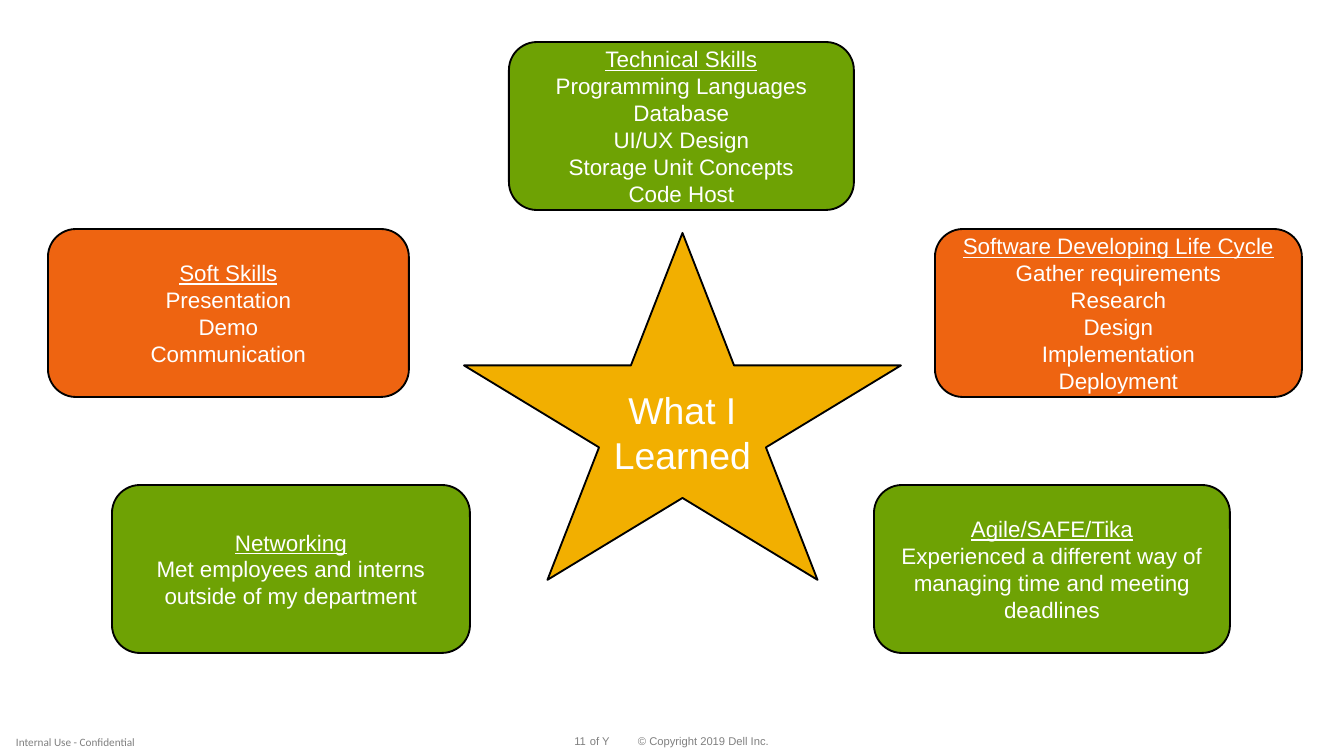
from pptx import Presentation
from pptx.dml.color import RGBColor
from pptx.enum.shapes import MSO_SHAPE as SHAPE
from pptx.enum.text import MSO_ANCHOR as ANCHOR, PP_ALIGN as ALIGN
from pptx.util import Emu, Pt

GREEN, ORANGE, GOLD = "6EA204", "EE6411", "F2AF00"


def px(*values):
    return [Emu(round(v * 914400 / 134.4)) for v in values]


def color(hex_text):
    return RGBColor.from_string(hex_text)


prs = Presentation()
prs.slide_width, prs.slide_height = px(1344, 756)
s = prs.slides.add_slide(prs.slide_layouts[6])

footers = [
    ("© Copyright 2019 Dell Inc.", (638, 736, 133, 12), 0, ALIGN.LEFT, "Arial", "808080"),
    ("11", (573, 736, 13, 12), 0, ALIGN.RIGHT, "Arial", "808080"),
    ("of Y", (590, 736, 20, 12), 0, ALIGN.LEFT, "Arial", "808080"),
    ("Internal Use - Confidential", (0, 728, 152, 28), 16, ALIGN.LEFT, "Calibri", "7F7F7F"),
]
for text, box, inset, align, font, gray in footers:
    tf = s.shapes.add_textbox(*px(*box)).text_frame
    tf.margin_left, tf.margin_top, tf.margin_right, tf.margin_bottom = px(inset, 0, 0, 0)
    tf.vertical_anchor = ANCHOR.MIDDLE
    tf.word_wrap = False
    p = tf.paragraphs[0]
    p.text = text
    p.alignment = align
    p.line_spacing = 0.9 if font == "Arial" else 1.0
    p.font.name, p.font.size = font, Pt(6)
    p.font.color.rgb = color(gray)

shapes = [
    (SHAPE.STAR_5_POINT, (464, 233, 437, 347), GOLD, 20, ["What I Learned"]),
    (SHAPE.ROUNDED_RECTANGLE, (509, 42, 345, 168), GREEN, 12,
     ["Technical Skills", "Programming Languages", "Database", "UI/UX Design",
      "Storage Unit Concepts", "Code Host"]),
    (SHAPE.ROUNDED_RECTANGLE, (874, 485, 356, 168), GREEN, 12,
     ["Agile/SAFE/Tika",
      "Experienced a different way of managing time and meeting deadlines"]),
    (SHAPE.ROUNDED_RECTANGLE, (935, 229, 367, 168), ORANGE, 12,
     ["Software Developing Life Cycle", "Gather requirements", "Research", "Design",
      "Implementation", "Deployment"]),
    (SHAPE.ROUNDED_RECTANGLE, (112, 485, 358, 168), GREEN, 12,
     ["Networking", "Met employees and interns outside of my department"]),
    (SHAPE.ROUNDED_RECTANGLE, (48, 229, 361, 168), ORANGE, 12,
     ["Soft Skills", "Presentation", "Demo", "Communication"]),
]
for kind, box, fill, size, lines in shapes:
    sp = s.shapes.add_shape(kind, *px(*box))
    sp.shadow.inherit = False
    sp.fill.solid()
    sp.fill.fore_color.rgb = color(fill)
    sp.line.color.rgb = color("000000")
    sp.line.width = Pt(1)
    tf = sp.text_frame
    tf.word_wrap = True
    tf.vertical_anchor = ANCHOR.MIDDLE
    for i, line in enumerate(lines):
        p = tf.paragraphs[0] if i == 0 else tf.add_paragraph()
        p.text = line
        p.alignment = ALIGN.CENTER
        p.font.name, p.font.size = "Arial", Pt(size)
        p.font.color.rgb = color("FFFFFF")
        p.font.underline = i == 0 and len(lines) > 1

prs.save("out.pptx")
